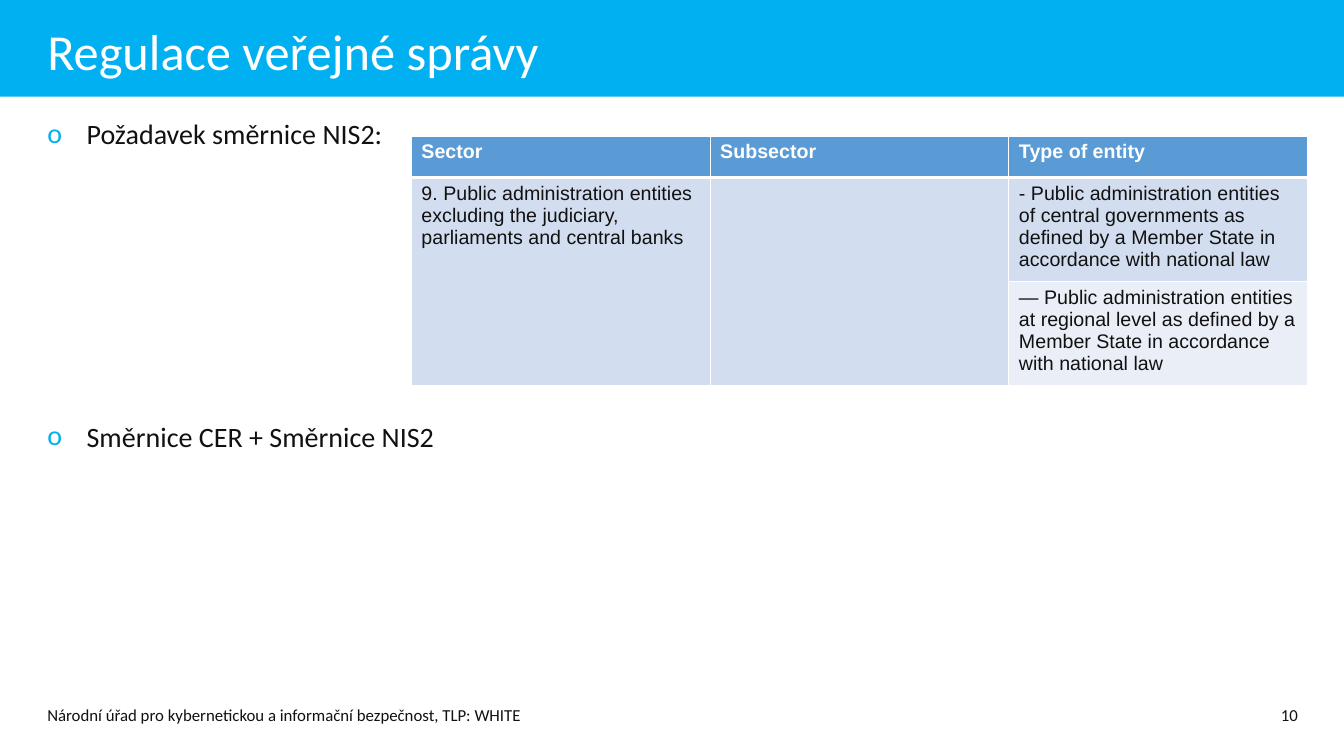
from dataclasses import dataclass
from typing import NamedTuple

from lxml.etree import SubElement
from pptx import Presentation
from pptx.dml.color import RGBColor as Rgb
from pptx.enum.shapes import MSO_SHAPE as Shape
from pptx.enum.text import MSO_ANCHOR as Anchor, PP_ALIGN as Align
from pptx.oxml import parse_xml
from pptx.oxml.ns import nsdecls, qn
from pptx.util import Emu, Inches, Pt


@dataclass(frozen=True)
class Theme:
    accent: str = "00B0F0"
    ink: str = "111111"
    white: str = "FFFFFF"
    header_fill: str = "5B9BD5"
    band_dark: str = "D2DEEF"
    band_light: str = "EAEFF7"
    text_font: str = "Calibri"
    table_font: str = "Arial"
    title_size: int = 36
    body_size: int = 20
    table_size: int = 14
    footer_size: int = 12


class Area(NamedTuple):
    """Left, top, width and height as percentages of the slide."""
    left: float
    top: float
    width: float
    height: float


class Bullet(NamedTuple):
    text: str
    space_before: int


class Entry(NamedTuple):
    row: int
    column: int
    text: str
    fill: str
    row_span: int = 1


THEME = Theme()
SLIDE_W, SLIDE_H = Inches(13.33), Inches(7.5)
MARGIN, CONTENT_W = 2.78, 94.52
BANNER = Area(0, 0, 100, 12.8)
TITLE = Area(MARGIN, 2.13, CONTENT_W, 8.93)
BODY = Area(MARGIN, 14.13, CONTENT_W, 77.2)
FOOTER = Area(MARGIN, 91.07, 86.8, 6.93)
PAGE_NUMBER = Area(90.17, 91.07, 7.13, 6.93)
SECTORS = Area(30.61, 18, 66.69, 31.33)
ROW_SHARES = (5.47, 12.93, 12.93)

BULLETS = (
    Bullet("Požadavek směrnice NIS2:", 0),
    Bullet("Směrnice CER + Směrnice NIS2", 192),
)
HEADINGS = ("Sector", "Subsector", "Type of entity")
ENTRIES = (
    Entry(1, 0, "9. Public administration entities excluding the judiciary, "
          "parliaments and central banks", THEME.band_dark, 2),
    Entry(1, 1, "", THEME.band_dark, 2),
    Entry(1, 2, "- Public administration entities of central governments as defined "
          "by a Member State in accordance with national law", THEME.band_dark),
    Entry(2, 2, "— Public administration entities at regional level as defined "
          "by a Member State in accordance with national law", THEME.band_light),
)


def across(share: float) -> Emu:
    return Emu(round(SLIDE_W * share / 100))


def down(share: float) -> Emu:
    return Emu(round(SLIDE_H * share / 100))


def place(area: Area) -> tuple:
    return across(area.left), down(area.top), across(area.width), down(area.height)


def write(paragraph, text: str, *, size: int, color: str = THEME.ink,
          font: str = THEME.text_font, bold: bool = False,
          align: Align = Align.LEFT, space_before: int = 0) -> None:
    paragraph.alignment = align
    paragraph.space_before = Pt(space_before)
    run = paragraph.add_run()
    run.text = text
    run.font.name, run.font.size, run.font.bold = font, Pt(size), bold
    run.font.color.rgb = Rgb.from_string(color)


def add_frame(slide, area: Area, anchor: Anchor = Anchor.MIDDLE):
    frame = slide.shapes.add_textbox(*place(area)).text_frame
    frame.word_wrap = True
    frame.vertical_anchor = anchor
    return frame


def add_bullet_mark(paragraph) -> None:
    properties = paragraph._p.get_or_add_pPr()
    indent = Inches(0.39)
    properties.set("marL", str(indent))
    properties.set("indent", str(-indent))
    color = SubElement(properties, qn("a:buClr"))
    SubElement(color, qn("a:srgbClr"), val=THEME.accent)
    SubElement(properties, qn("a:buFont"), typeface=THEME.text_font)
    SubElement(properties, qn("a:buChar"), char="o")


def style_cell(cell, fill: str, bottom: int = 1, top: int = 1) -> None:
    cell.fill.solid()
    cell.fill.fore_color.rgb = Rgb.from_string(fill)
    widths = {"lnL": 1, "lnR": 1, "lnT": top, "lnB": bottom}
    for position, (side, width) in enumerate(widths.items()):
        border = parse_xml(
            f'<a:{side} {nsdecls("a")} w="{Pt(width)}"><a:solidFill>'
            f'<a:srgbClr val="{THEME.white}"/></a:solidFill></a:{side}>')
        cell._tc.get_or_add_tcPr().insert(position, border)


def add_banner(slide) -> None:
    banner = slide.shapes.add_shape(Shape.RECTANGLE, *place(BANNER))
    banner.shadow.inherit = False
    banner.fill.solid()
    banner.fill.fore_color.rgb = Rgb.from_string(THEME.accent)
    banner.line.fill.background()


def add_bullets(slide) -> None:
    frame = add_frame(slide, BODY, Anchor.TOP)
    frame.margin_top = frame.margin_bottom = Inches(0.1)
    for index, bullet in enumerate(BULLETS):
        paragraph = frame.add_paragraph() if index else frame.paragraphs[0]
        add_bullet_mark(paragraph)
        write(paragraph, bullet.text, size=THEME.body_size, align=Align.JUSTIFY,
              space_before=bullet.space_before)


def add_sector_table(slide) -> None:
    table = slide.shapes.add_table(
        len(ROW_SHARES), len(HEADINGS), *place(SECTORS)).table
    for row, share in zip(table.rows, ROW_SHARES):
        row.height = down(share)

    # Header row with a heavier rule below
    for column, heading in enumerate(HEADINGS):
        cell = table.cell(0, column)
        style_cell(cell, THEME.header_fill, bottom=3)
        write(cell.text_frame.paragraphs[0], heading, size=THEME.table_size,
              color=THEME.white, font=THEME.table_font, bold=True)

    # Entries, merged downwards where they span rows
    for entry in ENTRIES:
        cell = table.cell(entry.row, entry.column)
        last_row = entry.row + entry.row_span - 1
        if entry.row_span > 1:
            cell.merge(table.cell(last_row, entry.column))
        for row in range(entry.row, last_row + 1):
            style_cell(table.cell(row, entry.column), entry.fill,
                       top=3 if row == 1 else 1)
        if entry.text:
            write(cell.text_frame.paragraphs[0], entry.text,
                  size=THEME.table_size, font=THEME.table_font)


def main() -> None:
    deck = Presentation()
    deck.slide_width, deck.slide_height = SLIDE_W, SLIDE_H
    slide = deck.slides.add_slide(deck.slide_layouts[6])

    # Banner and footer
    add_banner(slide)
    write(add_frame(slide, PAGE_NUMBER).paragraphs[0], "10",
          size=THEME.footer_size, align=Align.RIGHT)
    write(add_frame(slide, FOOTER).paragraphs[0],
          "Národní úřad pro kybernetickou a informační bezpečnost, TLP: WHITE",
          size=THEME.footer_size)

    # Content
    add_bullets(slide)
    write(add_frame(slide, TITLE).paragraphs[0], "Regulace veřejné správy",
          size=THEME.title_size, color=THEME.white)
    add_sector_table(slide)
    deck.save("out.pptx")


if __name__ == "__main__":
    main()
